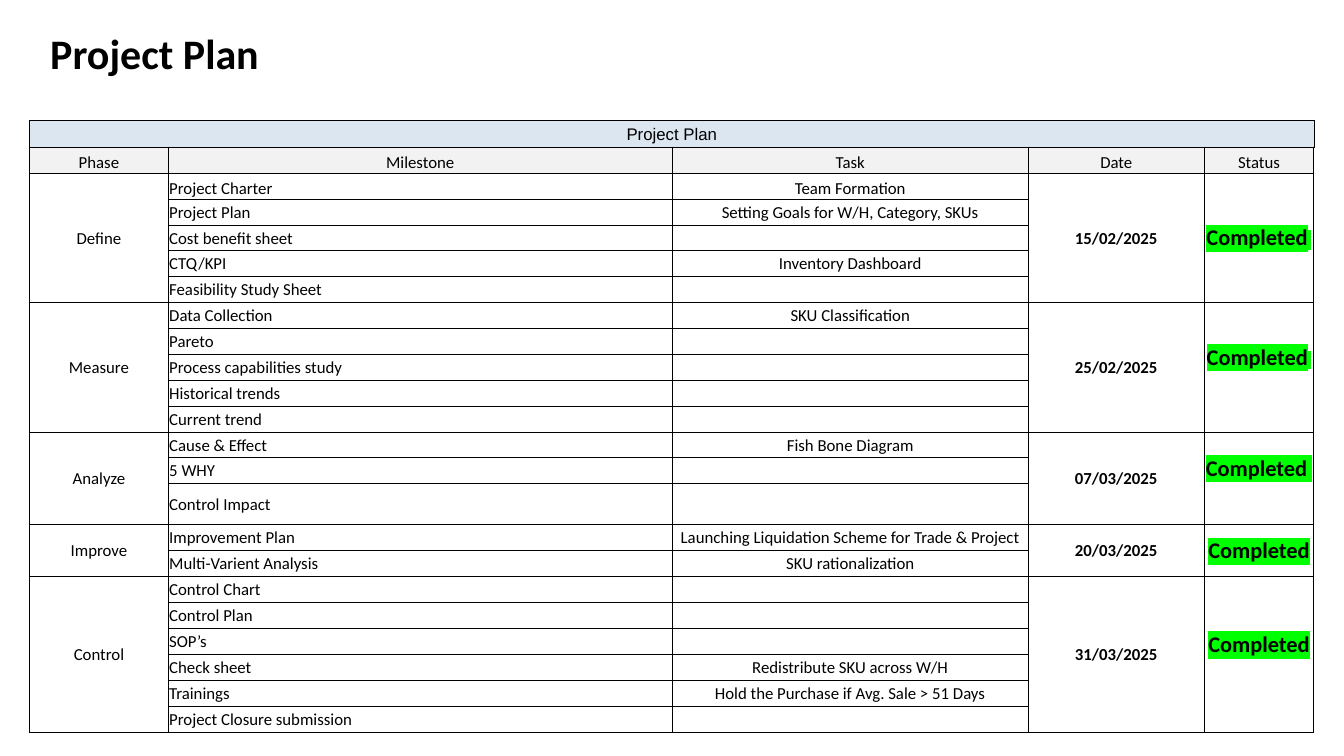
from lxml import etree
from pptx import Presentation
from pptx.dml.color import RGBColor
from pptx.enum.text import MSO_ANCHOR, PP_ALIGN
from pptx.oxml.ns import qn
from pptx.util import Pt

LEFT, MID = PP_ALIGN.LEFT, PP_ALIGN.CENTER
CENTRE, BASE = MSO_ANCHOR.MIDDLE, MSO_ANCHOR.BOTTOM
HARD = chr(160)  # no-break space, shows as a green tail after the status

COLOURS = {"ink": "000000", "band": "DCE6F1", "head": "F2F2F2", "done": "00FF00"}
TITLE = "Project Plan"
HEADS = ["Phase", "Milestone", "Task", "Date", "Status"]
DONE = "Completed"
# phase, date, size of the status tail, lift of the status, (milestone, task) rows
PHASES = [
    ("Define", "15/02/2025", 12, 0, [
        ("Project Charter", "Team Formation"),
        ("Project Plan", "Setting Goals for W/H, Category, SKUs"),
        ("Cost benefit sheet", ""),
        ("CTQ/KPI", "Inventory Dashboard"),
        ("Feasibility Study Sheet", "")]),
    ("Measure", "25/02/2025", 10.5, 14.6, [
        ("Data Collection", "SKU Classification"),
        ("Pareto", ""),
        ("Process capabilities study", ""),
        ("Historical trends", ""),
        ("Current trend", "")]),
    ("Analyze", "07/03/2025", 16, 14.6, [
        ("Cause & Effect", "Fish Bone Diagram"),
        ("5 WHY", ""),
        ("Control Impact", "")]),
    ("Improve", "20/03/2025", None, 0, [
        ("Improvement Plan", "Launching Liquidation Scheme for Trade & Project"),
        ("Multi-Varient Analysis", "SKU rationalization")]),
    ("Control", "31/03/2025", None, 14.6, [
        ("Control Chart", ""),
        ("Control Plan", ""),
        ("SOP’s", ""),
        ("Check sheet", "Redistribute SKU across W/H"),
        ("Trainings", "Hold the Purchase if Avg. Sale > 51 Days"),
        ("Project Closure submission", "")]),
]
WIDTHS = [99, 360, 254.3, 125.7, 78.3]
ROW, EDGE, TALL = 18.5, 19.2, 29.4
COUNT = 2 + sum(len(phase[-1]) for phase in PHASES)
HEIGHTS = [EDGE] + [ROW] * (COUNT - 2) + [EDGE]
HEIGHTS[14] = TALL


def write(frame, text, size=12, font="Calibri", bold=False, align=MID, mark=None):
    """Add a run to the first paragraph; an empty text only sets the line size."""
    para = frame.paragraphs[0]
    para.alignment = align
    if not text:
        etree.SubElement(para._p, qn("a:endParaRPr"), sz=str(int(size * 100)))
        return
    run = para.add_run()
    run.text = text
    run.font.size, run.font.bold, run.font.name = Pt(size), bold, font
    run.font.color.rgb = RGBColor.from_string(COLOURS["ink"])
    if mark:
        light = etree.Element(qn("a:highlight"))
        etree.SubElement(light, qn("a:srgbClr"), val=COLOURS[mark])
        run._r.rPr.find(qn("a:solidFill")).addnext(light)


def border(cell, row, col):
    """Draw 1 pt on the outer frame and the title band, 0.5 pt elsewhere."""
    bold = {"L": col == 0, "R": col == len(WIDTHS) - 1,
            "T": row <= 1, "B": row in (0, COUNT - 1)}
    props = cell._tc.get_or_add_tcPr()
    for spot, (side, thick) in enumerate(bold.items()):
        line = etree.Element(qn("a:ln" + side), w=str(Pt(1 if thick else 0.5)))
        fill = etree.SubElement(line, qn("a:solidFill"))
        etree.SubElement(fill, qn("a:srgbClr"), val=COLOURS["ink"])
        props.insert(spot, line)


def setup(cell, row, col):
    cell.margin_left = cell.margin_right = cell.margin_top = Pt(0.7)
    cell.margin_bottom = Pt(0)
    cell.vertical_anchor = BASE if row == 1 or (row == 2 and col in (1, 2)) else CENTRE
    if row < 2:
        cell.fill.solid()
        cell.fill.fore_color.rgb = RGBColor.from_string(COLOURS["head" if row else "band"])
    else:
        cell.fill.background()
    border(cell, row, col)


def fill_phase(table, top, phase):
    name, date, tail, lift, steps = phase
    for col in (0, 3, 4):
        table.cell(top, col).merge(table.cell(top + len(steps) - 1, col))
    write(table.cell(top, 0).text_frame, name)
    write(table.cell(top, 3).text_frame, date, bold=True)
    status = table.cell(top, 4)
    status.margin_bottom = Pt(lift)
    write(status.text_frame, DONE, size=16, bold=True, mark="done")
    if tail:
        write(status.text_frame, HARD, size=tail, bold=True, mark="done")
    for row, (stone, task) in enumerate(steps, top):
        write(table.cell(row, 1).text_frame, stone, align=LEFT)
        write(table.cell(row, 2).text_frame, task)


def main():
    deck = Presentation()
    deck.slide_width, deck.slide_height = Pt(960), Pt(540)
    slide = deck.slides.add_slide(deck.slide_layouts[6])

    frame = slide.shapes.add_table(COUNT, len(WIDTHS), Pt(21.2), Pt(86),
                                   Pt(sum(WIDTHS)), Pt(sum(HEIGHTS)))
    table = frame.table
    table.first_row = table.horz_banding = False
    for col, width in enumerate(WIDTHS):
        table.columns[col].width = Pt(width)
    for row, height in enumerate(HEIGHTS):
        table.rows[row].height = Pt(height)
        for col in range(len(WIDTHS)):
            setup(table.cell(row, col), row, col)

    table.cell(0, 0).merge(table.cell(0, len(WIDTHS) - 1))
    write(table.cell(0, 0).text_frame, TITLE, font="Arial")
    for col, head in enumerate(HEADS):
        write(table.cell(1, col).text_frame, head)
    top = 2
    for phase in PHASES:
        fill_phase(table, top, phase)
        top += len(phase[-1])

    title = slide.shapes.add_textbox(Pt(28.8), Pt(15.8), Pt(198), Pt(44)).text_frame
    title.word_wrap = True
    write(title, TITLE, size=30, bold=True, align=LEFT)
    deck.save("out.pptx")


if __name__ == "__main__":
    main()
